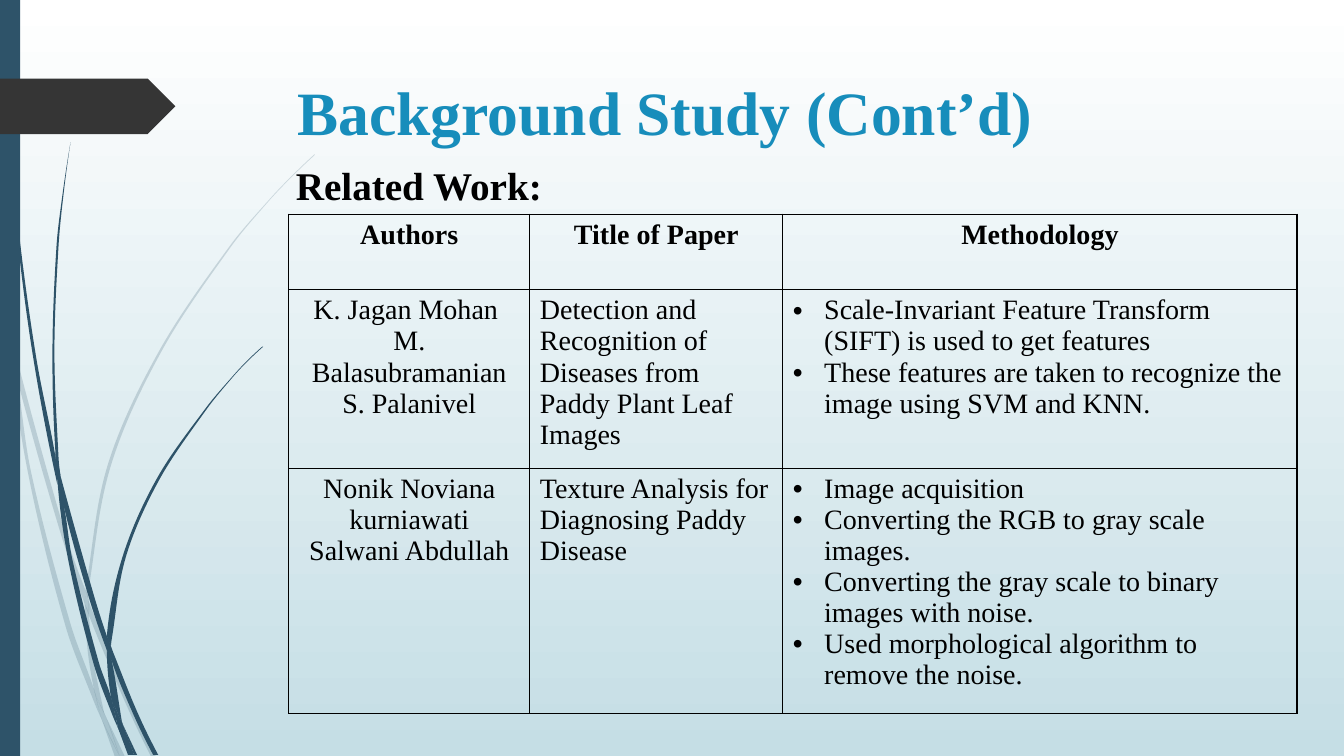
from lxml.etree import SubElement
from pptx import Presentation
from pptx.dml.color import RGBColor
from pptx.enum.shapes import MSO_SHAPE as Preset
from pptx.enum.text import PP_ALIGN as Align
from pptx.oxml.ns import qn
from pptx.util import Inches, Pt

CELL = Inches(0.01)
COLUMNS, ROWS = 1333, 750
FONT = "Times New Roman"
NAVY, CHARCOAL, BLUE, BLACK = "2E5369", "353535", "178DBB", "000000"
SKY = ["FFFFFF", "C5DEE5"]

PALE_BLADES = [
    ([(0, 299), (10, 344), (11, 350)], [(0, 282), (9, 322), (11, 350)]),
    ([(17, 376), (58, 522), (84, 599)], [(14, 345), (62, 520), (85, 586)]),
    ([(88, 610), (123, 694), (150, 751)], [(88, 596), (92, 607), (127, 692), (155, 751)]),
    ([(105, 711), (119, 751)], [(105, 711), (124, 751)]),
    ([(11, 350), (28, 470), (65, 621), (92, 693), (101, 714)],
     [(11, 350), (17, 376), (31, 469), (70, 619), (93, 683), (99, 707), (101, 714)]),
    ([(84, 599), (87, 646), (93, 683), (96, 692), (105, 711)],
     [(84, 599), (88, 610), (91, 646), (103, 706), (105, 711)]),
    ([(312, 153), (289, 175), (268, 197), (228, 244), (158, 348), (107, 461), (85, 584), (85, 586)],
     [(312, 154), (290, 175), (268, 198), (229, 245), (160, 349), (110, 462), (88, 584), (88, 596)]),
    ([(101, 714), (114, 751)], [(101, 714), (119, 751)]),
    ([(85, 586), (84, 599)], [(85, 586), (88, 596), (88, 610)]),
    ([(93, 683), (99, 707), (101, 714), (119, 751)], [(93, 683), (96, 692), (105, 711), (119, 751)]),
]
DARK_BLADES = [
    ([(3, 0), (7, 110), (17, 233), (33, 355), (57, 481)],
     [(4, 0), (8, 109), (19, 232), (36, 355), (55, 453), (57, 481)]),
    ([(60, 472), (64, 505), (88, 592), (106, 645)], [(60, 472), (93, 590), (106, 631)]),
    ([(110, 641), (111, 656), (132, 708), (152, 749)], [(110, 641), (113, 649), (136, 706), (157, 749)]),
    ([(57, 477), (68, 557), (93, 659), (111, 708), (117, 722)],
     [(57, 477), (64, 505), (72, 556), (98, 657), (110, 691), (116, 717), (117, 722)]),
    ([(70, 141), (62, 193), (56, 245), (52, 349), (55, 449), (60, 472)],
     [(70, 141), (63, 193), (58, 245), (54, 349), (58, 453), (60, 472)]),
    ([(122, 719), (133, 749)], [(122, 719), (136, 749)]),
    ([(55, 449), (57, 477), (64, 505)], [(55, 449), (60, 472), (64, 505)]),
    ([(260, 344), (245, 358), (231, 373), (204, 405), (156, 474), (122, 551), (106, 631)],
     [(261, 344), (245, 359), (231, 374), (205, 406), (158, 476), (125, 552), (111, 633), (110, 641)]),
    ([(117, 722), (127, 749)], [(117, 722), (131, 749)]),
    ([(106, 645), (110, 691), (116, 706), (122, 719)], [(106, 645), (111, 656), (121, 716), (122, 719)]),
    ([(106, 631), (106, 645)], [(106, 631), (110, 641), (111, 656)]),
    ([(110, 691), (116, 717), (117, 722), (130, 749)], [(110, 691), (116, 706), (122, 719), (133, 749)]),
]

HEADINGS = ["Authors", "Title of Paper", "Methodology"]
PAPERS = [
    (["K. Jagan Mohan ", "M. Balasubramanian", "S. Palanivel"],
     ["Detection and Recognition of Diseases from Paddy Plant Leaf Images"],
     ["Scale-Invariant Feature Transform (SIFT) is used to get features",
      "These features are taken to recognize the image using SVM and KNN."]),
    (["Nonik Noviana kurniawati", "Salwani Abdullah"],
     ["Texture Analysis for Diagnosing Paddy Disease"],
     ["Image acquisition", "Converting the RGB to gray scale images.",
      "Converting the gray scale to binary images with noise.",
      "Used morphological algorithm to remove the noise."]),
]


def color(value):
    return RGBColor.from_string(value)


def grid(*cells):
    return [round(cell * CELL) for cell in cells]


def paint(shape, value, alpha=100):
    shape.shadow.inherit = False
    shape.line.fill.background()
    shape.fill.solid()
    shape.fill.fore_color.rgb = color(value)
    if alpha < 100:
        tone = shape.fill._xPr.find(".//" + qn("a:srgbClr"))
        SubElement(tone, qn("a:alpha"), val=str(alpha * 1000))


def slope(start, end):
    return (end[0] - start[0]) / (end[1] - start[1])


def edge_curves(knots):
    inner = [slope(a, b) for a, b in zip(knots, knots[2:])]
    first, last = slope(*knots[:2]), slope(*knots[-2:])
    if inner:
        first, last = 2 * first - inner[0], 2 * last - inner[-1]
    slopes = [first, *inner, last]
    curves = []
    for i, ((x0, y0), (x1, y1)) in enumerate(zip(knots, knots[1:])):
        third = (y1 - y0) / 3
        curves.append([(x0 + third * slopes[i], y0 + third),
                       (x1 - third * slopes[i + 1], y1 - third), (x1, y1)])
    return curves


def add_blade(page, left_edge, right_edge, alpha):
    left, right = left_edge, right_edge[::-1]
    joint = [[left[-1], right[0], right[0]]]
    curves = edge_curves(left) + joint + edge_curves(right)
    builder = page.shapes.build_freeform(*grid(*left[0]))
    builder.add_line_segments([grid(*curve[-1]) for curve in curves], close=True)
    blade = builder.convert_to_shape()
    for segment, curve in zip(list(blade._element.iter(qn("a:lnTo"))), curves):
        segment.clear()
        segment.tag = qn("a:cubicBezTo")
        for x, y in (grid(*point) for point in curve):
            SubElement(segment, qn("a:pt"), x=str(x - blade.left), y=str(y - blade.top))
    paint(blade, NAVY, alpha)


def add_block(page, preset, place, value):
    paint(page.shapes.add_shape(preset, *grid(*place)), value)


def style(para, size, value=BLACK, bold=False, align=Align.LEFT):
    para.alignment = align
    para.font.name = FONT
    para.font.size = Pt(size)
    para.font.bold = bold
    para.font.color.rgb = color(value)


def add_heading(page, text, place, size, value):
    frame = page.shapes.add_textbox(*grid(*place)).text_frame
    frame.word_wrap = True
    frame.text = text
    style(frame.paragraphs[0], size, value, bold=True)


def add_bullet(para):
    indent = grid(31)[0]
    props = para._p.get_or_add_pPr()
    props.set("marL", str(indent))
    props.set("indent", str(-indent))
    props.insert(0, SubElement(props, qn("a:buFont"), typeface="Arial"))
    props.insert(1, SubElement(props, qn("a:buChar"), char="•"))


def add_borders(cell):
    props = cell._tc.get_or_add_tcPr()
    for side in ("lnL", "lnR", "lnT", "lnB"):
        line = SubElement(props, qn("a:" + side), w=str(Pt(1)))
        fill = SubElement(line, qn("a:solidFill"))
        SubElement(fill, qn("a:srgbClr"), val=BLACK)


def fill_cell(cell, lines, bold, align, bulleted):
    add_borders(cell)
    cell.fill.background()
    cell.text_frame.text = "\n".join(lines)
    for para in cell.text_frame.paragraphs:
        style(para, 20, bold=bold, align=align)
        if bulleted:
            add_bullet(para)


def add_papers(page, place, widths, heights):
    table = page.shapes.add_table(len(heights), len(widths), *grid(*place)).table
    table.first_row = table.horz_banding = False
    for column, width in zip(table.columns, grid(*widths)):
        column.width = width
    for row, height in zip(table.rows, grid(*heights)):
        row.height = height
    for j, heading in enumerate(HEADINGS):
        fill_cell(table.cell(0, j), [heading], True, Align.CENTER, False)
    for i, paper in enumerate(PAPERS, 1):
        for j, lines in enumerate(paper):
            align = Align.LEFT if j else Align.CENTER
            fill_cell(table.cell(i, j), lines, False, align, j == 2)


def add_sky(page):
    fill = page.background.fill
    fill.gradient()
    fill.gradient_angle = 270
    for position, (stop, value) in enumerate(zip(fill.gradient_stops, SKY)):
        stop.position = position
        stop.color.rgb = color(value)


def main():
    deck = Presentation()
    deck.slide_width, deck.slide_height = grid(COLUMNS, ROWS)
    page = deck.slides.add_slide(deck.slide_layouts[6])
    add_sky(page)
    for blades, alpha in ((PALE_BLADES, 20), (DARK_BLADES, 100)):
        for left_edge, right_edge in blades:
            add_blade(page, left_edge, right_edge, alpha)
    add_block(page, Preset.RECTANGLE, (0, 0, 20, ROWS), NAVY)
    add_block(page, Preset.PENTAGON, (0, 78, 174, 55), CHARCOAL)
    add_heading(page, "Background Study (Cont’d)", (285, 68, 975, 97), 44, BLUE)
    add_heading(page, "Related Work:", (283.5, 155, 618, 57), 28, BLACK)
    add_papers(page, (286.5, 212.5, 1000, 495), (239, 251, 510), (75, 177, 243))
    deck.save("out.pptx")


if __name__ == "__main__":
    main()
